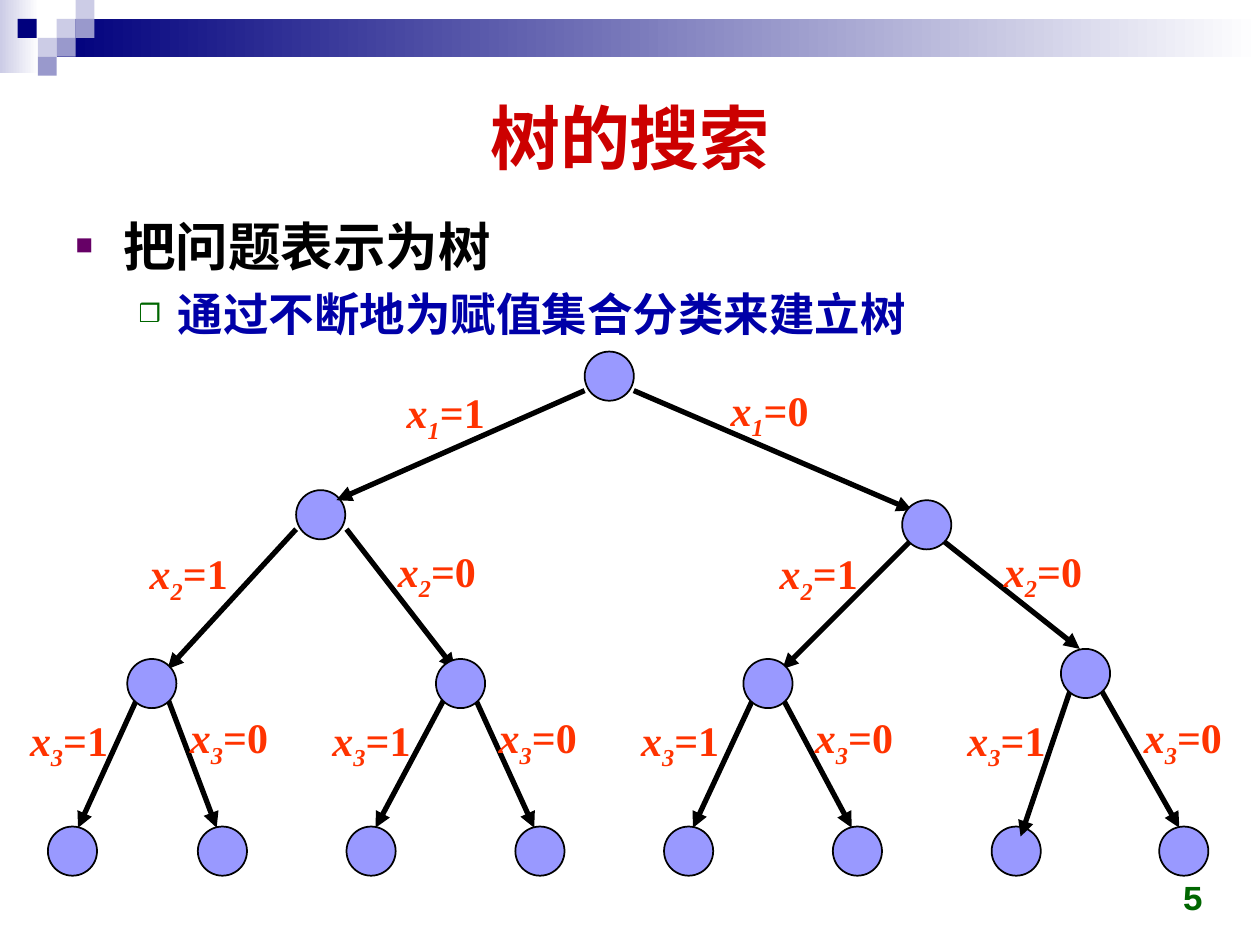
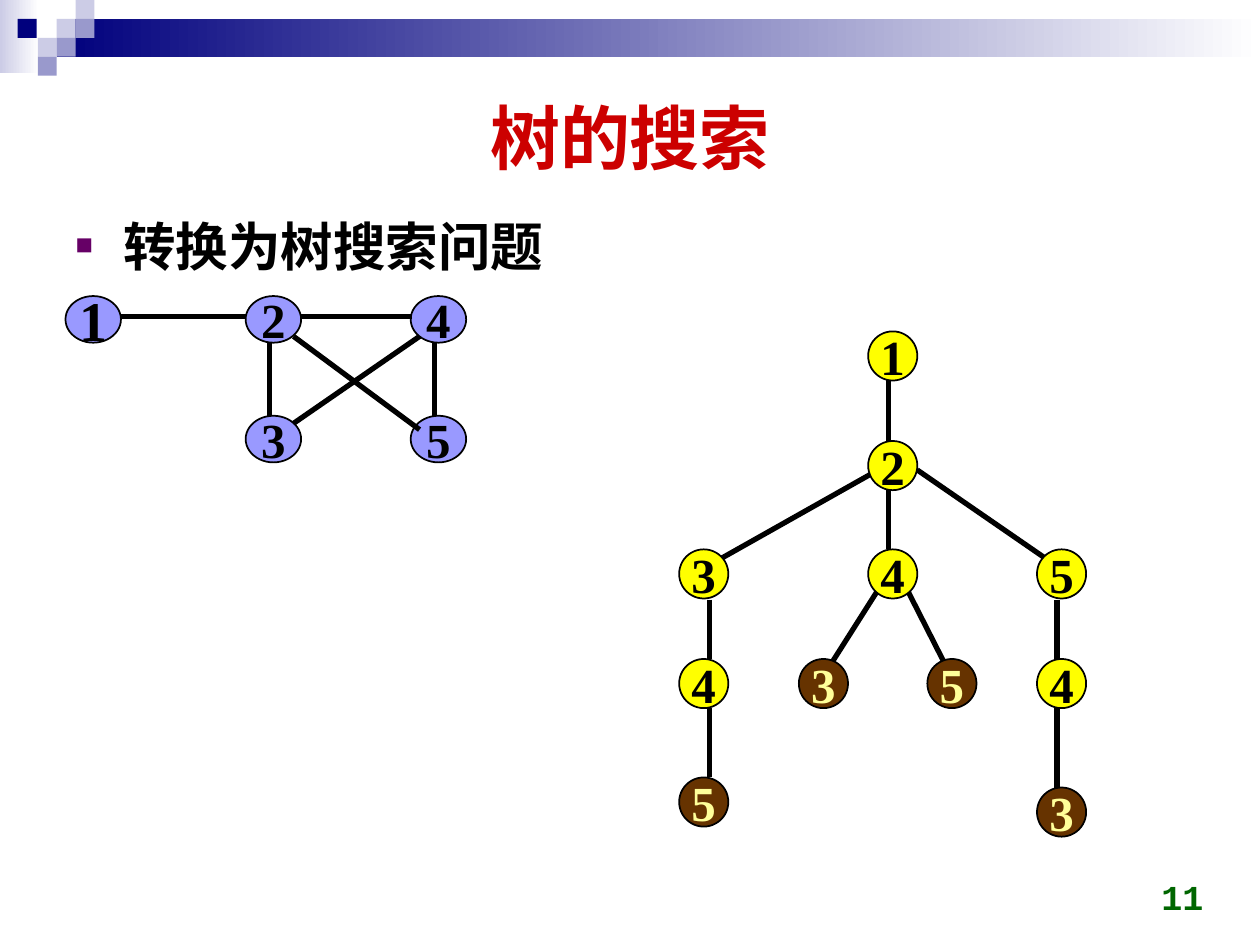
from dataclasses import dataclass

from lxml import etree
from pptx import Presentation
from pptx.dml.color import RGBColor
from pptx.enum.shapes import MSO_CONNECTOR, MSO_SHAPE
from pptx.enum.text import MSO_ANCHOR, MSO_AUTO_SIZE, PP_ALIGN
from pptx.oxml.ns import qn
from pptx.util import Inches, Pt

RECTANGLE, OVAL = MSO_SHAPE.RECTANGLE, MSO_SHAPE.OVAL
STRAIGHT = MSO_CONNECTOR.STRAIGHT
MIDDLE, BOTTOM = MSO_ANCHOR.MIDDLE, MSO_ANCHOR.BOTTOM
CENTER, RIGHT = PP_ALIGN.CENTER, PP_ALIGN.RIGHT
FIT_SHAPE = MSO_AUTO_SIZE.SHAPE_TO_FIT_TEXT


@dataclass(frozen=True)
class Theme:
    navy: str = "00007D"
    pale: str = "CCCCE6"
    mid: str = "9999CC"
    white: str = "FFFFFF"
    ink: str = "000000"
    node: str = "9999FF"
    open_node: str = "FFFF00"
    goal_node: str = "663300"
    goal_text: str = "FFFF99"
    node_line: float = 1
    edge_line: float = 3
    title = {"name": "Arial", "size": Pt(40), "bold": True, "color": "CC0000"}
    number = {"name": "Courier New", "size": Pt(20), "bold": True, "color": "006600"}
    label = {"name": "Times New Roman", "size": Pt(24), "bold": True, "color": "FF3300"}
    digit = {"name": "Times New Roman", "size": Pt(28), "bold": True}
    levels = (
        {"font": {"name": "Arial", "size": Pt(30), "bold": True, "color": "000000"},
         "bullet": ("■", "660066"), "indent": (0.38, -0.38), "before": 0},
        {"font": {"name": "Arial", "size": Pt(26), "bold": True, "color": "0000A8"},
         "bullet": ("❒", "006600"), "indent": (0.81, -0.31), "before": 4},
    )


THEME = Theme()


@dataclass(frozen=True)
class Box:
    left: float
    top: float
    width: float
    height: float

    def inner(self, x, y, width, height):
        """Lengths of a part placed from this box's corner."""
        return [Inches(v) for v in (self.left + x, self.top + y, width, height)]

    def ends(self, x1, y1, x2, y2):
        return [*self.inner(x1, y1, 0, 0)[:2], *self.inner(x2, y2, 0, 0)[:2]]

    def place(self, shape):
        names = ("left", "top", "width", "height")
        for name, value in zip(names, self.inner(0, 0, self.width, self.height)):
            setattr(shape, name, value)


PAGE_BOX = Box(0, 0, 10, 7.5)
TITLE_BOX = Box(0.5, 0.5, 9, 1.16)
BODY_BOX = Box(0.5, 1.62, 9, 5.2)
NUMBER_BOX = Box(7.32, 6.83, 2.33, 0.5)
BRANCH_BOX = Box(0, 2.5, 10, 4.5)
GRAPH_BOX = Box(0.52, 2.35, 3.2, 1.35)
SEARCH_BOX = Box(5.39, 2.63, 3.3, 4.1)
CIRCLE = 0.39

# Assignment tree: circle corners, split by whether edges lie over or under them
NODES_BELOW = [(4.64, 0.29), (2.35, 1.39)] + [
    (x, 4.06) for x in (0.38, 1.57, 2.75, 4.09, 5.27, 6.61, 7.87, 9.2)]
NODES_ABOVE = [(7.16, 1.47), (8.42, 2.65), (5.9, 2.73), (3.46, 2.73), (1.01, 2.73)]
LABEL_TOPS = {1: 0.5, 2: 1.78, 3: 3.1}
# variable, value, edge ends, left of label
BRANCHES = [
    (1, 1, (4.64, 0.6, 2.67, 1.47), 3.13), (1, 0, (5.03, 0.6, 7.24, 1.55), 5.7),
    (2, 1, (2.35, 1.7, 1.33, 2.81), 1.09), (2, 0, (2.75, 1.7, 3.61, 2.81), 3.06),
    (2, 1, (7.24, 1.78, 6.21, 2.81), 6.09), (2, 0, (7.47, 1.78, 8.57, 2.65), 7.87),
    (3, 1, (1.09, 3.04, 0.62, 4.07), 0.14), (3, 0, (1.33, 3.04, 1.72, 4.07), 1.41),
    (3, 1, (3.53, 3.04, 2.98, 4.07), 2.54), (3, 0, (3.77, 3.04, 4.24, 4.07), 3.86),
    (3, 1, (5.98, 3.04, 5.5, 4.07), 4.99), (3, 0, (6.21, 3.04, 6.76, 4.07), 6.37),
    (3, 1, (8.5, 2.96, 8.1, 4.14), 7.58), (3, 0, (8.73, 2.96, 9.36, 4.07), 8.98),
]

# Graph: digit and corner of each vertex
GRAPH_NODES = [("1", 0, 0), ("2", 1.43, 0), ("4", 2.74, 0),
               ("3", 1.43, 0.95), ("5", 2.74, 0.95)]
GRAPH_EDGES = [(0.43, 0.16, 1.43, 0.16), (1.62, 0.37, 1.62, 0.95),
               (1.87, 0.16, 2.75, 0.16), (2.93, 0.37, 2.93, 0.95),
               (1.81, 0.32, 2.81, 1.06), (2.81, 0.32, 1.81, 1.01)]

# Search tree: open nodes and the goal leaves
OPEN_NODES = [("1", 1.5, 0), ("2", 1.5, 0.87), ("3", 0, 1.73), ("4", 1.5, 1.73),
              ("5", 2.84, 1.73), ("4", 0, 2.6), ("4", 2.84, 2.6)]
GOAL_NODES = [("5", 1.97, 2.6), ("3", 0.95, 2.6), ("3", 2.84, 3.62), ("5", 0, 3.54)]
SEARCH_EDGES = [(1.66, 0.39, 1.66, 0.87), (1.66, 1.18, 1.66, 1.73),
                (1.58, 2.05, 1.18, 2.68), (1.81, 2.05, 2.13, 2.68),
                (1.58, 1.1, 0.32, 1.81), (1.89, 1.1, 2.92, 1.81),
                (0.24, 2.13, 0.24, 2.6), (0.24, 2.99, 0.24, 3.54),
                (3, 2.13, 3, 2.6), (3, 2.99, 3, 3.7)]


def rgb(value):
    return RGBColor.from_string(value)


def add_span(para, text, style, **extra):
    span = para.add_run()
    span.text = text
    for name, value in {**style, **extra}.items():
        if name == "color":
            span.font.color.rgb = rgb(value)
        else:
            setattr(span.font, name, value)
    return span


def add_block(shapes, box, kind, place, *colors):
    """A filled shape without outline; two colours make a gradient."""
    shape = shapes.add_shape(kind, *box.inner(*place))
    shape.shadow.inherit = False
    shape.line.fill.background()
    if len(colors) == 1:
        shape.fill.solid()
        shape.fill.fore_color.rgb = rgb(colors[0])
    else:
        shape.fill.gradient()
        shape.fill.gradient_angle = 0
        for stop, color in zip(shape.fill.gradient_stops, colors):
            stop.color.rgb = rgb(color)
    return shape


def add_node(shapes, box, place, fill, digit="", **style):
    node = add_block(shapes, box, OVAL, place, fill)
    node.line.color.rgb = rgb(THEME.ink)
    node.line.width = Pt(THEME.node_line)
    if digit:
        frame = node.text_frame
        frame.word_wrap = False
        frame.vertical_anchor = MIDDLE
        para = frame.paragraphs[0]
        para.alignment = CENTER
        add_span(para, digit, THEME.digit, **{"color": THEME.ink, **style})


def add_edge(shapes, box, ends, arrow=False):
    edge = shapes.add_connector(STRAIGHT, *box.ends(*ends))
    edge.line.color.rgb = rgb(THEME.ink)
    edge.line.width = Pt(THEME.edge_line)
    properties = edge._element.spPr
    if arrow:
        etree.SubElement(properties.find(qn("a:ln")), qn("a:tailEnd"), type="triangle")
    etree.SubElement(properties, qn("a:effectLst"))


def add_bullet(para, symbol, color):
    properties = para._p.get_or_add_pPr()
    holder = etree.SubElement(properties, qn("a:buClr"))
    etree.SubElement(holder, qn("a:srgbClr"), val=color)
    etree.SubElement(properties, qn("a:buSzPct"), val="55000")
    etree.SubElement(properties, qn("a:buChar"), char=symbol)


def add_band(page, box):
    shapes = page.shapes.add_group_shape().shapes
    add_block(shapes, box, RECTANGLE, (0, 0, 0.31, 0.58), THEME.pale, THEME.white)
    add_block(shapes, box, RECTANGLE, (0.45, 0.15, 9.55, 0.3), THEME.navy, THEME.white)
    squares = [(0.45, 0.15, THEME.pale), (0.6, 0, THEME.pale), (0.6, 0.15, THEME.mid),
               (0.3, 0.3, THEME.pale), (0.14, 0.15, THEME.navy),
               (0.45, 0.3, THEME.mid), (0.3, 0.45, THEME.mid)]
    for x, y, color in squares:
        add_block(shapes, box, RECTANGLE, (x, y, 0.15, 0.15), color)


def fill_title(shape, box, text):
    box.place(shape)
    frame = shape.text_frame
    frame.vertical_anchor = MIDDLE
    frame.paragraphs[0].alignment = CENTER
    add_span(frame.paragraphs[0], text, THEME.title)


def fill_body(shape, box, lines):
    box.place(shape)
    frame = shape.text_frame
    for level, text in enumerate(lines):
        para = frame.add_paragraph() if level else frame.paragraphs[0]
        look = THEME.levels[level]
        add_bullet(para, *look["bullet"])
        margin, indent = look["indent"]
        properties = para._p.get_or_add_pPr()
        properties.set("marL", str(Inches(margin)))
        properties.set("indent", str(Inches(indent)))
        settings = {"level": level, "line_spacing": 1.05,
                    "space_before": Pt(look["before"])}
        for name, value in settings.items():
            setattr(para, name, value)
        add_span(para, text, look["font"])


def add_number(page, box, number):
    shape = page.shapes.add_textbox(*box.inner(0, 0, box.width, box.height))
    frame = shape.text_frame
    frame.word_wrap = True
    frame.vertical_anchor = BOTTOM
    frame.paragraphs[0].alignment = RIGHT
    add_span(frame.paragraphs[0], str(number), THEME.number)


def add_page(deck, number, lines):
    """The frame that every page shares."""
    page = deck.slides.add_slide(deck.slide_layouts[1])
    add_band(page, PAGE_BOX)
    fill_title(page.shapes.title, TITLE_BOX, "树的搜索")
    fill_body(page.placeholders[1], BODY_BOX, lines)
    add_number(page, NUMBER_BOX, number)
    return page


def add_label(shapes, box, x, variable, value):
    top = LABEL_TOPS[variable] + 0.02 * value
    frame = shapes.add_textbox(*box.inner(x, top, 0.84, 0.5)).text_frame
    frame.word_wrap = False
    frame.auto_size = FIT_SHAPE
    para = frame.paragraphs[0]
    add_span(para, "x", THEME.label, italic=True)
    index = add_span(para, str(variable), THEME.label, italic=True)
    index.font._element.set("baseline", "-25000")
    add_span(para, f"={value}", THEME.label, italic=False)


def add_assignment_tree(page, box):
    for x, y in NODES_BELOW:
        add_node(page.shapes, box, (x, y, CIRCLE, CIRCLE), THEME.node)
    for _, _, ends, _ in BRANCHES:
        add_edge(page.shapes, box, ends, arrow=True)
    for x, y in NODES_ABOVE:
        add_node(page.shapes, box, (x, y, CIRCLE, CIRCLE), THEME.node)
    for variable, value, _, x in BRANCHES:
        add_label(page.shapes, box, x, variable, value)


def add_search_tree(page, box):
    shapes = page.shapes.add_group_shape().shapes
    for ends in SEARCH_EDGES:
        add_edge(shapes, box, ends)
    for nodes, fill, color in ((OPEN_NODES, THEME.open_node, THEME.ink),
                               (GOAL_NODES, THEME.goal_node, THEME.goal_text)):
        for digit, x, y in nodes:
            add_node(shapes, box, (x, y, CIRCLE, CIRCLE), fill, digit, color=color)


def add_graph(page, box):
    shapes = page.shapes.add_group_shape().shapes
    for digit, x, y in GRAPH_NODES:
        size = Pt(32) if digit == "1" else THEME.digit["size"]
        add_node(shapes, box, (x, y, 0.44, 0.37), THEME.node, digit, size=size)
    for ends in GRAPH_EDGES:
        add_edge(shapes, box, ends)


def main():
    deck = Presentation()
    deck.slide_width, deck.slide_height = Inches(PAGE_BOX.width), Inches(PAGE_BOX.height)
    page = add_page(deck, 5, ["把问题表示为树", "通过不断地为赋值集合分类来建立树"])
    add_assignment_tree(page, BRANCH_BOX)
    page = add_page(deck, 11, ["转换为树搜索问题"])
    add_search_tree(page, SEARCH_BOX)
    add_graph(page, GRAPH_BOX)
    deck.save("out.pptx")


if __name__ == "__main__":
    main()
